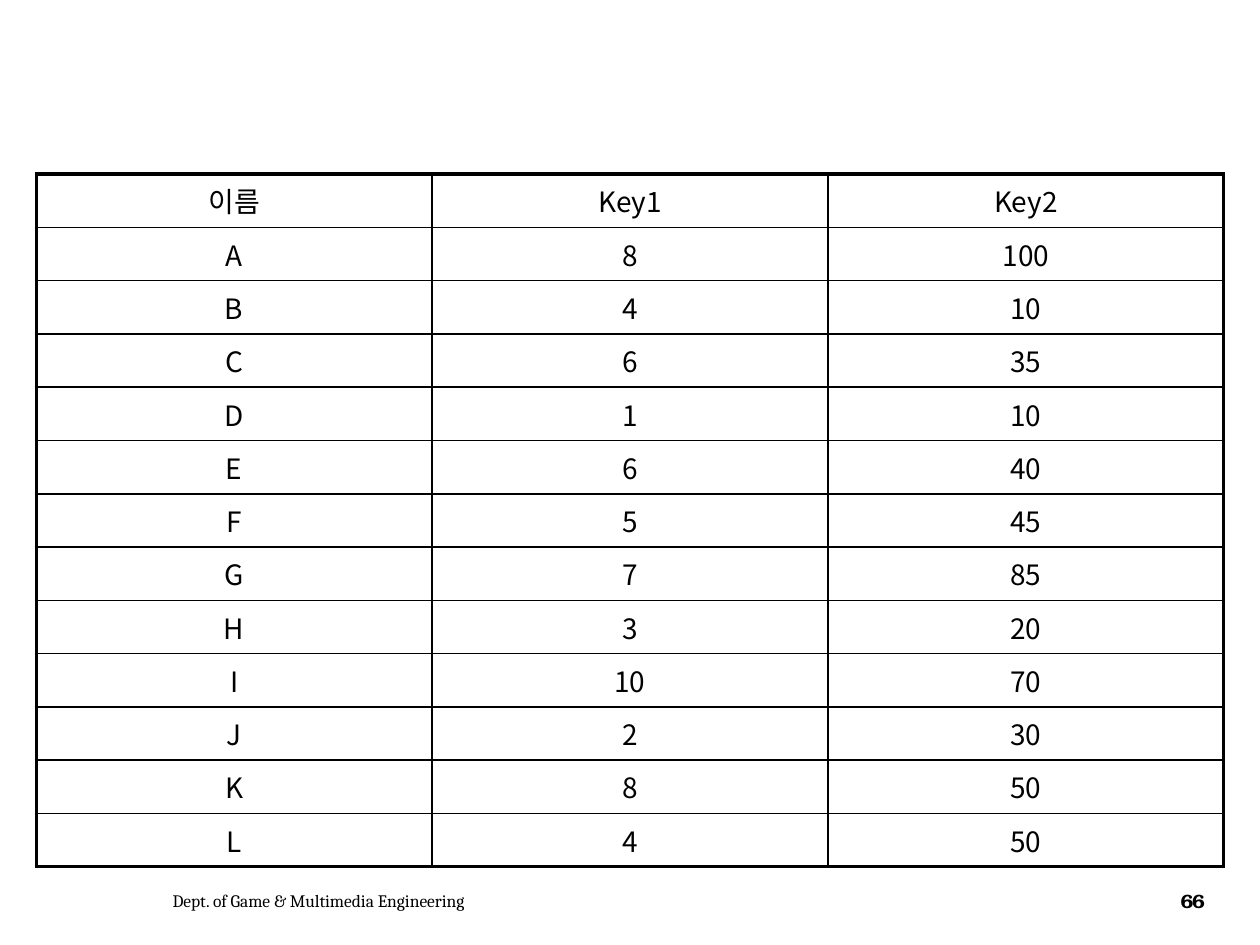
from dataclasses import dataclass

from lxml.etree import SubElement
from pptx import Presentation
from pptx.dml.color import RGBColor
from pptx.enum.text import MSO_ANCHOR, PP_ALIGN
from pptx.oxml.ns import qn
from pptx.util import Cm, Pt

COLORS = {"ink": "000000"}
TABLE_FONT = "Noto Sans CJK KR"
THIN, THICK = 1, 2.25


@dataclass
class Record:
    name: str
    key1: str
    key2: str


@dataclass
class Label:
    text: str
    left: float
    width: float
    font: str
    size: float
    align: PP_ALIGN = PP_ALIGN.LEFT
    bold: bool = False
    spacing: float = 0


RECORDS = [
    Record("이름", "Key1", "Key2"),
    Record("A", "8", "100"),
    Record("B", "4", "10"),
    Record("C", "6", "35"),
    Record("D", "1", "10"),
    Record("E", "6", "40"),
    Record("F", "5", "45"),
    Record("G", "7", "85"),
    Record("H", "3", "20"),
    Record("I", "10", "70"),
    Record("J", "2", "30"),
    Record("K", "8", "50"),
    Record("L", "4", "50"),
]

FOOTERS = [
    Label("Dept. of Game & Multimedia Engineering", 3.23, 11.66, "Cambria", 10),
    Label("66", 23.37, 1.35, "TeX Gyre Bonum", 11, PP_ALIGN.CENTER, True, -0.7),
]


def write_text(tf, text: str, *, font: str, size: float, align=PP_ALIGN.LEFT,
               bold: bool = False, spacing: float = 0) -> None:
    p = tf.paragraphs[0]
    p.alignment = align
    r = p.add_run()
    r.text = text
    r.font.name = font
    r.font.size = Pt(size)
    r.font.bold = bold
    r.font.color.rgb = RGBColor.from_string(COLORS["ink"])
    rPr = r.font._element
    if spacing:
        rPr.set("spc", str(round(spacing * 100)))
    SubElement(rPr, qn("a:ea")).set("typeface", font)


def set_borders(cell, **widths: float) -> None:
    tcPr = cell._tc.get_or_add_tcPr()
    for side, width in widths.items():
        ln = SubElement(tcPr, qn(f"a:ln{side}"), w=str(Pt(width)))
        fill = SubElement(ln, qn("a:solidFill"))
        SubElement(fill, qn("a:srgbClr"), val=COLORS["ink"])


def add_key_table(slide, records: list[Record]) -> None:
    rows, cols = len(records), 3
    frame = slide.shapes.add_table(rows, cols, Cm(0.73), Cm(3.51),
                                   Cm(7.98 * cols), Cm(0.93 * rows))
    table = frame.table
    table.first_row = table.horz_banding = False
    for i, record in enumerate(records):
        for j, text in enumerate((record.name, record.key1, record.key2)):
            cell = table.cell(i, j)
            cell.margin_left = cell.margin_right = Cm(0.58)
            cell.margin_top = cell.margin_bottom = Cm(0.13)
            write_text(cell.text_frame, text, font=TABLE_FONT, size=16,
                       align=PP_ALIGN.CENTER)
            # Thick outer frame, thin inner lines
            set_borders(cell,
                        L=THICK if j == 0 else THIN,
                        R=THICK if j == cols - 1 else THIN,
                        T=THICK if i == 0 else THIN,
                        B=THICK if i == rows - 1 else THIN)
            cell.fill.background()


def add_footer(slide, label: Label) -> None:
    box = slide.shapes.add_textbox(Cm(label.left), Cm(17.65),
                                   Cm(label.width), Cm(1.02))
    tf = box.text_frame
    tf.word_wrap = True
    tf.vertical_anchor = MSO_ANCHOR.MIDDLE
    write_text(tf, label.text, font=label.font, size=label.size,
               align=label.align, bold=label.bold, spacing=label.spacing)


def main() -> None:
    prs = Presentation()
    prs.slide_width, prs.slide_height = Cm(25.4), Cm(19.05)
    s = prs.slides.add_slide(prs.slide_layouts[6])

    # Table of names and keys
    add_key_table(s, RECORDS)

    # Department and page number
    for label in FOOTERS:
        add_footer(s, label)

    prs.save("out.pptx")


if __name__ == "__main__":
    main()
